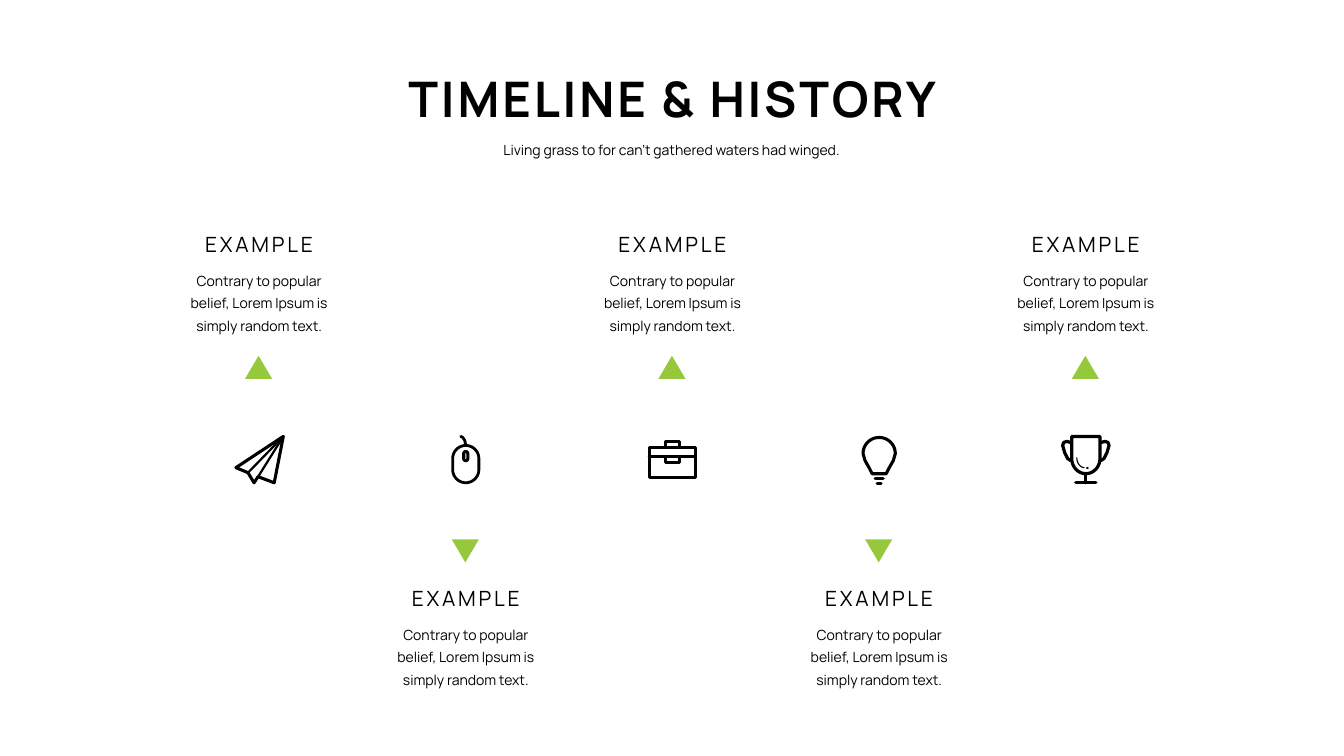
import math
import pptx
import pptx.util
import pptx.dml.color
import pptx.enum.shapes
import pptx.enum.text
import pptx.oxml

Inches, Pt = pptx.util.Inches, pptx.util.Pt
RGBColor = pptx.dml.color.RGBColor
BLACK = RGBColor(0x00, 0x00, 0x00)
GREEN = RGBColor(0x96, 0xC8, 0x3C)


def arc(x, y, wide, high, start, end):
    """Points on an ellipse, angles in degrees, clockwise from the right."""
    turns = [math.radians(start + (end - start) * i / 20) for i in range(21)]
    return [(x + wide * math.cos(t), y + high * math.sin(t)) for t in turns]


def box(left, top, right, low):
    return [(left, top), (right, top), (right, low), (left, low), (left, top)]


def pill(top, low, rad):
    """Upright rounded outline, centred on x = 0."""
    dots = arc(0, top + rad, rad, rad, 180, 360) + arc(0, low - rad, rad, rad, 0, 180)
    return dots + dots[:1]


# Content
TITLE = "TIMELINE & HISTORY"
LEAD = "Living grass to for can't gathered waters had winged."
NOTE = "Contrary to popular belief, Lorem Ipsum is simply random text."
STEPS = [("EXAMPLE", NOTE)] * 5

# Icon outlines: line width in points, then lines in inches from the icon centre
TIP = (0.24, -0.23)
EAR = [(0.15, -0.17), (0.19, -0.18), (0.22, -0.17), (0.23, -0.14),
       (0.21, -0.07), (0.18, -0.01), (0.15, 0.01)]
PLANE = [
    (2.2, [[TIP, (-0.23, 0.08), (-0.11, 0.13), (-0.05, 0.23), (-0.01, 0.17),
            (0.15, 0.23), TIP]]),
    (1.6, [[(-0.11, 0.13), TIP], [(-0.05, 0.23), (-0.01, 0.17), TIP]]),
]
MOUSE = [
    (2, [pill(-0.14, 0.23, 0.13), [(0, -0.14), (-0.01, -0.19), (-0.03, -0.22), (-0.05, -0.23)]]),
    (2.2, [pill(-0.08, 0.01, 0.02)]),
]
CASE = [(2.2, [box(-0.23, -0.12, 0.23, 0.18), box(-0.07, -0.18, 0.07, -0.12),
               [(-0.23, -0.03), (0.23, -0.03)], box(-0.07, -0.03, 0.07, 0.03)])]
BULB = [(2.2, [arc(0, -0.06, 0.16, 0.16, 180, 360)
               + [(0.14, 0.01), (0.1, 0.08), (0.07, 0.14), (-0.07, 0.14),
                  (-0.1, 0.08), (-0.14, 0.01), (-0.16, -0.06)],
               [(-0.04, 0.19), (0.04, 0.19)], [(-0.02, 0.24), (0.02, 0.24)]])]
CUP = [
    (2.3, [[(-0.14, -0.23), (0.14, -0.23)] + arc(0, -0.01, 0.14, 0.15, 0, 180)
           + [(-0.14, -0.23)],
           EAR, [(-x, y) for x, y in EAR],
           [(0, 0.14), (0, 0.23)], [(-0.1, 0.23), (0.1, 0.23)]]),
    (0.8, [arc(-0.01, -0.02, 0.08, 0.1, 180, 95)]),
    (1.2, [[(0.01, 0.08), (0.02, 0.08)]]),
]
ICONS = [PLANE, MOUSE, CASE, BULB, CUP]

# Layout
FIRST, STEP, MID = 2.57, 2.05, 4.56
ROWS = [{"head": 2.25, "mark": 3.53, "turn": 0},
        {"head": 5.76, "mark": 5.35, "turn": 180}]
BIG = {"name": "Manrope", "size": Pt(35), "bold": True}
HEAD = {"name": "Manrope", "size": Pt(15), "bold": False}
BODY = {"name": "Manrope", "size": Pt(10), "bold": False}

deck = pptx.Presentation()
deck.slide_width, deck.slide_height = Inches(13.33), Inches(7.5)
slide = deck.slides.add_slide(deck.slide_layouts[0])
shapes = slide.shapes


def write(shape, place, text, style, track=0, lead=None, anchor="TOP"):
    names = ("left", "top", "width", "height")
    for name, value in zip(names, place):
        setattr(shape, name, Inches(value))
    frame = shape.text_frame
    enum = pptx.enum.text
    look = {"word_wrap": True, "auto_size": enum.MSO_AUTO_SIZE.SHAPE_TO_FIT_TEXT,
            "vertical_anchor": enum.MSO_ANCHOR[anchor]}
    for name, value in look.items():
        setattr(frame, name, value)
    para = frame.paragraphs[0]
    para.alignment = enum.PP_ALIGN.CENTER
    para.space_before = Pt(0)
    if lead:
        para.line_spacing = Pt(lead)
    run = para.add_run()
    run.text = text
    for name, value in style.items():
        setattr(run.font, name, value)
    run.font.color.rgb = BLACK
    if track:
        run._r.get_or_add_rPr().set("spc", str(track * 100))


def label(place, *rest, **more):
    write(shapes.add_textbox(0, 0, 0, 0), place, *rest, **more)


def draw(mid, width, lines):
    """One outline shape made of several lines."""
    spots = [[(Inches(mid + x), Inches(MID + y)) for x, y in line] for line in lines]
    pen = shapes.build_freeform(*spots[0][0], scale=1.0)
    for i, line in enumerate(spots):
        if i:
            pen.move_to(*line[0])
        pen.add_line_segments(line[1:], close=False)
    shape = pen.convert_to_shape()
    shape.shadow.inherit = False
    shape.fill.background()
    shape.line.color.rgb = BLACK
    shape.line.width = Pt(width)
    edge = shape.line._get_or_add_ln()
    edge.set("cap", "rnd")
    edge.append(pptx.oxml.parse_xml(
        '<a:round xmlns:a="http://schemas.openxmlformats.org/drawingml/2006/main"/>'))


# Title and lead
write(shapes.title, (3.25, 0.63, 6.84, 0.69), TITLE, BIG, track=2, anchor="MIDDLE")
write(slide.placeholders[1], (4.36, 1.35, 4.6, 0.27), LEAD, BODY)

# Steps, in turn above and below the icons
for i, ((head, note), icon) in enumerate(zip(STEPS, ICONS)):
    mid, row = FIRST + i * STEP, ROWS[i % 2]
    label((mid - 0.77, row["head"], 1.54, 0.35), head, HEAD, track=2)
    label((mid - 0.87, row["head"] + 0.35, 1.74, 0.76), note, BODY, lead=16)
    for width, lines in icon:
        draw(mid, width, lines)
    mark = shapes.add_shape(pptx.enum.shapes.MSO_SHAPE.ISOSCELES_TRIANGLE,
                            Inches(mid - 0.14), Inches(row["mark"]), Inches(0.27), Inches(0.23))
    mark.rotation = row["turn"]
    mark.shadow.inherit = False
    mark.fill.solid()
    mark.fill.fore_color.rgb = GREEN
    mark.line.fill.background()

deck.save("out.pptx")
